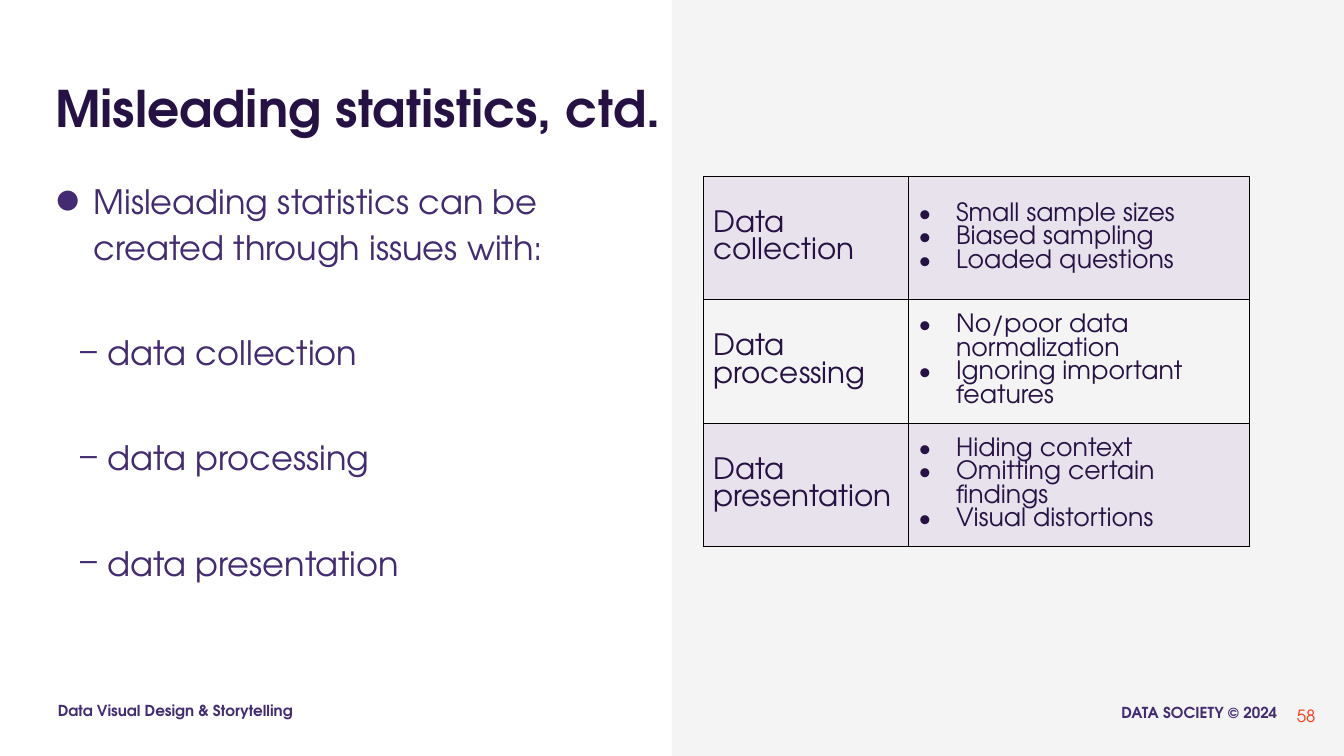
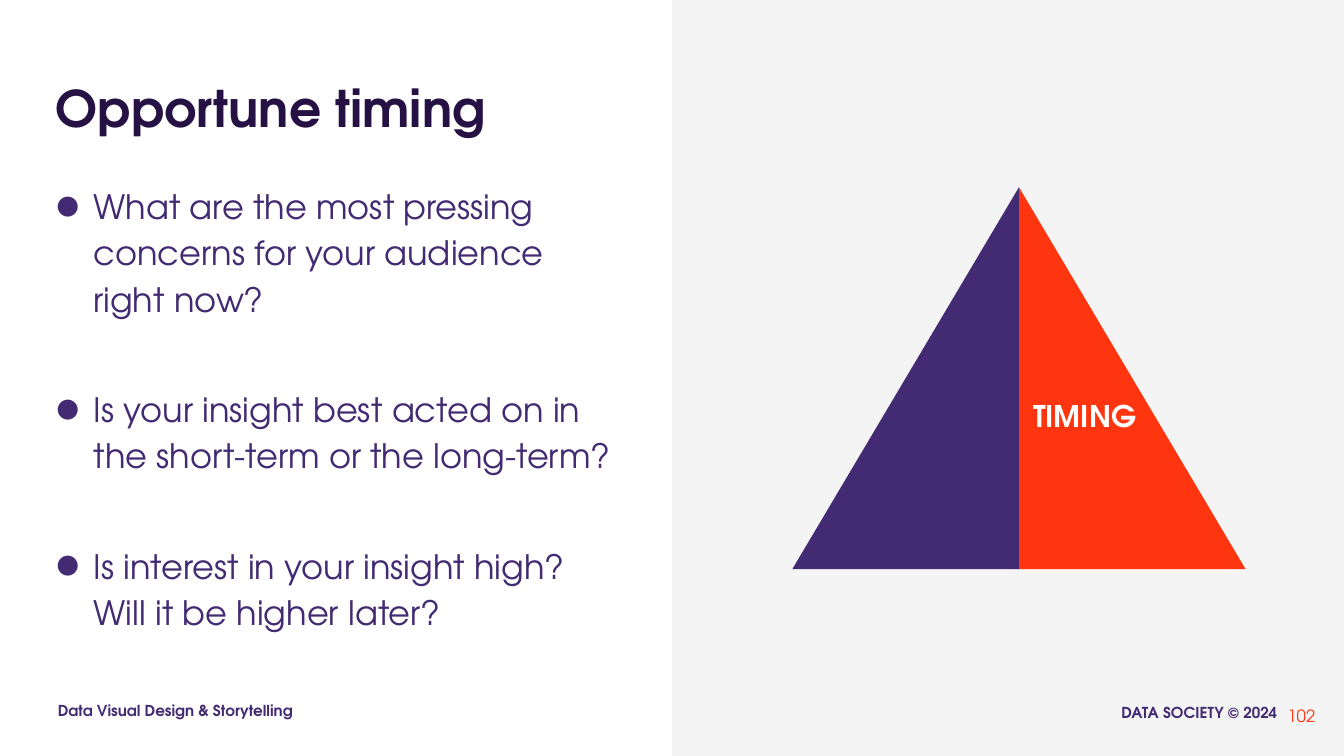
from lxml.etree import SubElement
from pptx import Presentation
from pptx.dml.color import RGBColor
from pptx.enum.shapes import MSO_SHAPE
from pptx.enum.text import MSO_ANCHOR, MSO_AUTO_SIZE, PP_ALIGN
from pptx.oxml.ns import qn
from pptx.util import Cm, Pt

FONT = "TeX Gyre Adventor"
C = {"ink": "261144", "purple": "422B72", "orange": "FF350F", "lilac": "B59BC7",
     "panel": "F4F4F4", "white": "FFFFFF", "black": "000000"}
SLIDE_W, SLIDE_H = 33.87, 19.05
ISSUES = [
    ("Data collection", ["Small sample sizes", "Biased sampling", "Loaded questions"]),
    ("Data processing", ["No/poor data normalization", "Ignoring important features"]),
    ("Data presentation", ["Hiding context", "Omitting certain findings", "Visual distortions"]),
]
QUESTIONS = [
    "What are the most pressing concerns for your audience right now?",
    "Is your insight best acted on in the short-term or the long-term?",
    "Is interest in your insight high? Will it be higher later?",
]


def rgb(name):
    """Return the named colour."""
    return RGBColor.from_string(C[name])


def add_run(p, text, size, color, bold=False):
    """Add one formatted run to a paragraph."""
    r = p.add_run()
    r.text = text
    r.font.name, r.font.size, r.font.bold = FONT, Pt(size), bold
    r.font.color.rgb = rgb(color)


def add_bullet(p, char, color, left, hang):
    """Give a paragraph a coloured bullet with a hanging indent."""
    pPr = p._p.get_or_add_pPr()
    pPr.set("marL", str(Cm(left)))
    pPr.set("indent", str(-Cm(hang)))
    clr = SubElement(pPr, qn("a:buClr"))
    SubElement(clr, qn("a:srgbClr")).set("val", C[color])
    SubElement(pPr, qn("a:buFont")).set("typeface", FONT)
    SubElement(pPr, qn("a:buChar")).set("char", char)


def frame(tf, pad_x, pad_y, anchor=MSO_ANCHOR.TOP):
    """Set wrapping, margins and anchor of a text frame."""
    tf.word_wrap = True
    tf.auto_size = MSO_AUTO_SIZE.NONE
    tf.margin_left = tf.margin_right = Cm(pad_x)
    tf.margin_top = tf.margin_bottom = Cm(pad_y)
    tf.vertical_anchor = anchor


def add_label(shapes, box, text, size, color, bold=True, align=PP_ALIGN.LEFT,
              pad=(0.3, 0.3), anchor=MSO_ANCHOR.TOP):
    """Add a one-line text box."""
    tf = shapes.add_textbox(*map(Cm, box)).text_frame
    frame(tf, *pad, anchor)
    p = tf.paragraphs[0]
    p.alignment = align
    add_run(p, text, size, color, bold)


def add_plain_shape(shapes, kind, box, color):
    """Add a filled shape without outline or shadow."""
    sp = shapes.add_shape(kind, *map(Cm, box))
    sp.shadow.inherit = False
    sp.fill.solid()
    sp.fill.fore_color.rgb = rgb(color)
    sp.line.fill.background()
    return sp


def add_page(prs, title, number):
    """Add a slide with its side panel, title and footers."""
    s = prs.slides.add_slide(prs.slide_layouts[5])
    half = SLIDE_W / 2
    panel = add_plain_shape(s.shapes, MSO_SHAPE.RECTANGLE, (half, 0, half, SLIDE_H), "panel")
    s.shapes._spTree.insert(2, panel._element)
    sp = s.shapes.title
    sp.left, sp.top, sp.width, sp.height = map(Cm, (1.15, 1.47, 31.55, 2.13))
    frame(sp.text_frame, 0.25, 0.13, MSO_ANCHOR.BOTTOM)
    p = sp.text_frame.paragraphs[0]
    p.alignment = PP_ALIGN.LEFT
    add_run(p, title, 36, "ink", True)
    add_label(s.shapes, (1.16, 17.37, 6.96, 1.07), "Data Visual Design & Storytelling",
              10.8, "purple")
    add_label(s.shapes, (26.85, 17.42, 5.64, 1.07), "DATA SOCIETY © 2024",
              10.8, "purple", align=PP_ALIGN.RIGHT)
    add_label(s.shapes, (31.37, 17.5, 2.03, 1.07), number, 12, "orange", False,
              PP_ALIGN.RIGHT, (0.25, 0.13), MSO_ANCHOR.MIDDLE)
    return s


def add_body(s, items, gap, pad_y):
    """Add the left-hand list of (level, text) items."""
    tf = s.shapes.add_textbox(*map(Cm, (1.15, 4.27, 14.81, 12.65))).text_frame
    frame(tf, 0.25, pad_y)
    for i, (level, text) in enumerate(items):
        p = tf.add_paragraph() if i else tf.paragraphs[0]
        p.level = level
        p.line_spacing = 1.15
        p.space_before = Pt(gap if i else 0)
        if level:
            add_bullet(p, "–", "purple", 1.3, 0.66)
        else:
            add_bullet(p, "●", "purple", 0.96, 0.96)
        add_run(p, text, 24, "purple")


def style_cell(cell, shaded):
    """Give a cell thin black borders and an optional translucent fill."""
    tcPr = cell._tc.get_or_add_tcPr()
    for side in ("lnL", "lnR", "lnT", "lnB"):
        ln = SubElement(tcPr, qn(f"a:{side}"), w=str(Pt(0.75)))
        fill = SubElement(ln, qn("a:solidFill"))
        SubElement(fill, qn("a:srgbClr")).set("val", C["black"])
    cell.vertical_anchor = MSO_ANCHOR.MIDDLE
    if shaded:
        cell.fill.solid()
        cell.fill.fore_color.rgb = rgb("lilac")
        clr = tcPr.find(qn("a:solidFill")).find(qn("a:srgbClr"))
        SubElement(clr, qn("a:alpha")).set("val", "20000")
    else:
        cell.fill.background()


def fill_cell(cell, lines, size, bulleted):
    """Write the lines of a cell as paragraphs."""
    tf = cell.text_frame
    for i, text in enumerate(lines):
        p = tf.add_paragraph() if i else tf.paragraphs[0]
        if bulleted:
            add_bullet(p, "•", "ink", 0.95, 0.95)
        add_run(p, text, size, "ink")


def add_issue_table(s):
    """Add the table of issues and their examples."""
    widths, row_h = (5.16, 8.59), 3.11
    box = (17.73, 4.44, sum(widths), row_h * len(ISSUES))
    tbl = s.shapes.add_table(len(ISSUES), 2, *map(Cm, box)).table
    tbl.first_row = tbl.horz_banding = False
    for col, width in zip(tbl.columns, widths):
        col.width = Cm(width)
    for i, (issue, examples) in enumerate(ISSUES):
        tbl.rows[i].height = Cm(row_h)
        fill_cell(tbl.cell(i, 0), [issue], 21, False)
        fill_cell(tbl.cell(i, 1), examples, 18, True)
        for j in range(2):
            style_cell(tbl.cell(i, j), i % 2 == 0)


def add_triangle(s):
    """Add the two-part triangle with its label."""
    mid, top, w, h = 25.68, 4.72, 5.71, 9.62
    shapes = s.shapes.add_group_shape().shapes
    add_plain_shape(shapes, MSO_SHAPE.RIGHT_TRIANGLE, (mid, top, w, h), "orange")
    left = add_plain_shape(shapes, MSO_SHAPE.RIGHT_TRIANGLE, (mid - w, top, w, h), "purple")
    left._element.spPr.find(qn("a:xfrm")).set("flipH", "1")
    add_label(shapes, (25.38, 9.68, 3.91, 1.32), "TIMING", 21.3, "white",
              align=PP_ALIGN.CENTER, pad=(0.33, 0.33))


def main():
    """Build and save the slides."""
    prs = Presentation()
    prs.slide_width, prs.slide_height = Cm(SLIDE_W), Cm(SLIDE_H)

    s = add_page(prs, "Misleading statistics, ctd.", "58")
    intro = "Misleading statistics can be created through issues with:"
    add_body(s, [(0, intro)] + [(1, issue.lower()) for issue, _ in ISSUES], 42, 0.13)
    add_issue_table(s)

    s = add_page(prs, "Opportune timing", "102")
    add_body(s, [(0, question) for question in QUESTIONS], 45.7, 0.26)
    add_triangle(s)

    prs.save("out.pptx")


if __name__ == "__main__":
    main()
